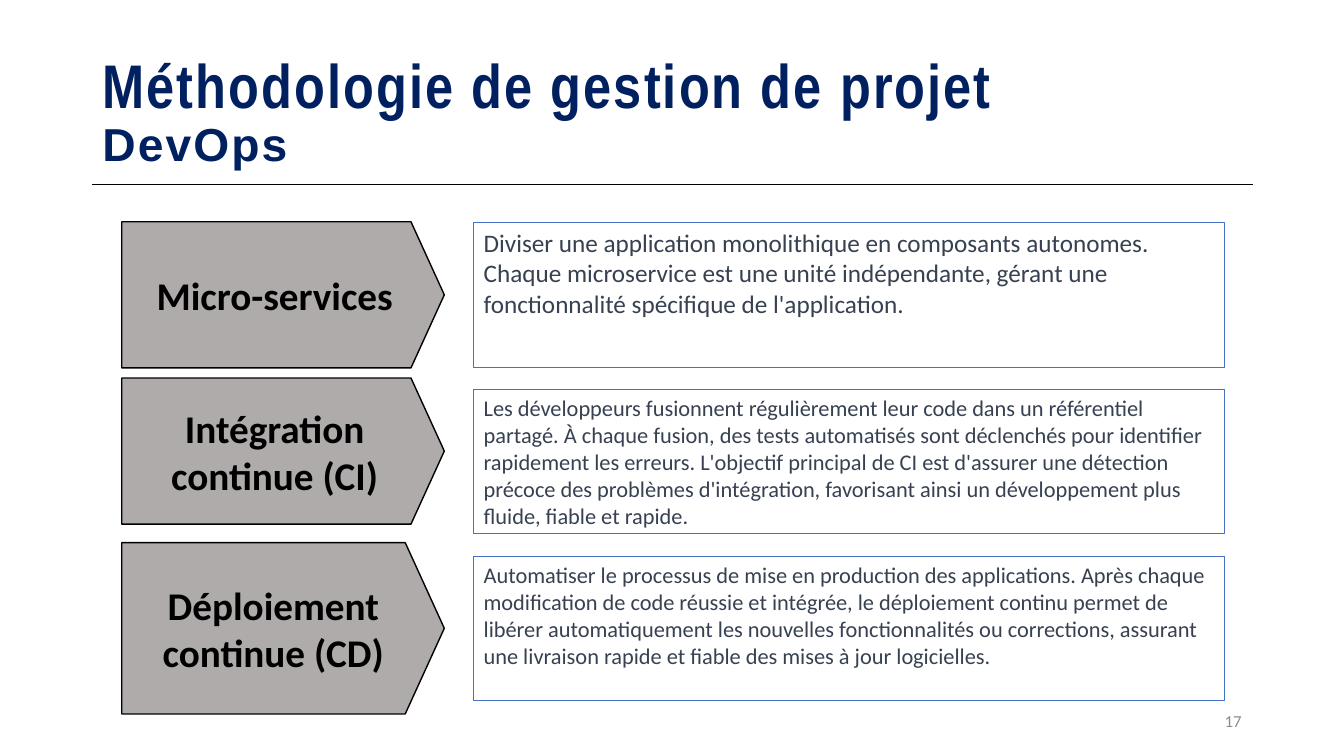
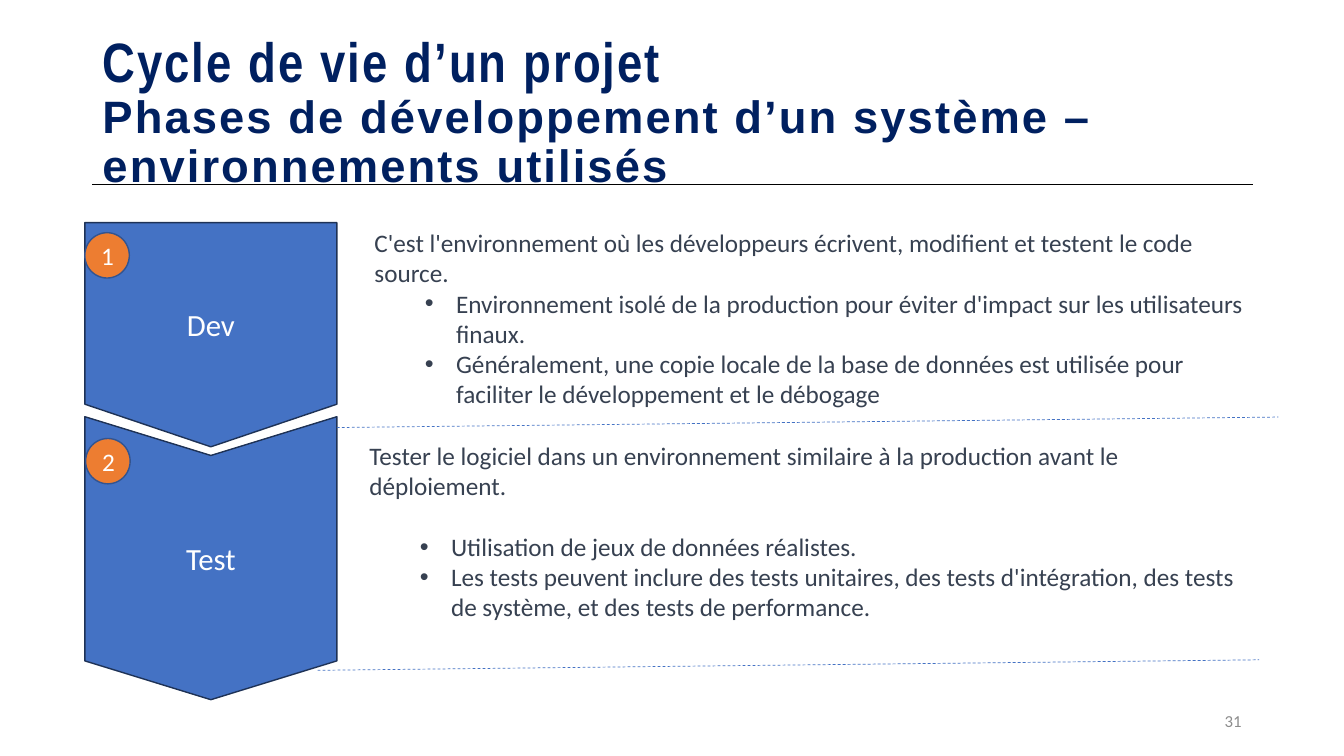
from copy import deepcopy

from lxml import etree
from pptx import Presentation
from pptx.dml.color import RGBColor
from pptx.enum.dml import MSO_LINE
from pptx.enum.shapes import MSO_CONNECTOR, MSO_SHAPE
from pptx.enum.text import MSO_ANCHOR, MSO_AUTO_SIZE, PP_ALIGN
from pptx.oxml.ns import qn
from pptx.util import Inches, Pt

LEFT, CENTER, RIGHT = PP_ALIGN.LEFT, PP_ALIGN.CENTER, PP_ALIGN.RIGHT
TOP, MIDDLE = MSO_ANCHOR.TOP, MSO_ANCHOR.MIDDLE
RECT, OVAL = MSO_SHAPE.RECTANGLE, MSO_SHAPE.OVAL
PENTAGON, CHEVRON = MSO_SHAPE.PENTAGON, MSO_SHAPE.CHEVRON
STRAIGHT = MSO_CONNECTOR.STRAIGHT
DASH = MSO_LINE.DASH
NO_AUTOFIT = MSO_AUTO_SIZE.NONE

COLORS = {
    "title": "002060", "black": "000000", "white": "FFFFFF",
    "body": "374151", "number": "8C8C8C", "gray": "AFABAB",
    "blue": "4472C4", "navy": "1E3256", "orange": "ED7D31",
    "badge_line": "325491",
}
COLS, ROWS = 160, 90  # grid cells across and down the slide


def color(name):
    return RGBColor.from_string(COLORS[name])


def write(p, text, size=18, font="Calibri", ink="body", bold=False,
          align=LEFT, tracking=None):
    """Add a formatted run to a paragraph."""
    p.alignment = align
    r = p.add_run()
    r.text = text
    r.font.size, r.font.name, r.font.bold = Pt(size), font, bold
    r.font.color.rgb = color(ink)
    if tracking:
        r.font._element.set("spc", str(int(tracking * 100)))
    return r


def add_bullet(p):
    p.level = 1
    pPr = p._p.get_or_add_pPr()
    pPr.set("marL", str(Inches(0.81)))
    pPr.set("indent", str(Inches(-0.31)))
    etree.SubElement(pPr, qn("a:buFont")).set("typeface", "Arial")
    etree.SubElement(pPr, qn("a:buChar")).set("char", "•")


class Deck:
    def __init__(self):
        self.prs = Presentation()
        self.prs.slide_width, self.prs.slide_height = Inches(13.33), Inches(7.5)
        self.slide = None

    def grid(self, x, y):
        return (round(self.prs.slide_width * x / COLS),
                round(self.prs.slide_height * y / ROWS))

    def box(self, x, y, w, h):
        return *self.grid(x, y), *self.grid(w, h)

    # Title, rule and page number shared by all slides
    def new_slide(self, title, subtitle, sizes, number):
        self.slide = self.prs.slides.add_slide(self.prs.slide_layouts[5])
        sp = self.slide.shapes.title
        sp.left, sp.top, sp.width, sp.height = self.box(11, 4.8, 138, 17.4)
        tf = sp.text_frame
        tf.auto_size, tf.vertical_anchor = NO_AUTOFIT, MIDDLE
        p = tf.paragraphs[0]
        p.line_spacing = 0.9
        style = {"ink": "title", "bold": True, "tracking": 1.5}
        r = write(p, title, size=sizes[0], font="Arial Narrow", **style)
        p.add_line_break()
        p._p[-1].append(deepcopy(r.font._element))  # break as tall as its line
        write(p, subtitle, size=sizes[1], font="Arial", **style)
        self.line((11, 22), (149.2, 22), "black")
        p = self.text_box(113, 83.4, 36, 4.8, MIDDLE).paragraphs[0]
        write(p, number, size=12, ink="number", align=RIGHT)

    def line(self, start, end, ink, dash=None):
        c = self.slide.shapes.add_connector(
            STRAIGHT, *self.grid(*start), *self.grid(*end))
        c.line.color.rgb, c.line.width = color(ink), Pt(0.5)
        if dash:
            c.line.dash_style = dash
        etree.SubElement(c._element.spPr, qn("a:effectLst"))

    def text_box(self, x, y, w, h, anchor=TOP):
        tf = self.slide.shapes.add_textbox(*self.box(x, y, w, h)).text_frame
        tf.word_wrap, tf.vertical_anchor = True, anchor
        return tf

    def shape(self, kind, box, text, fill=None, line="black", width=1,
              adj=None, anchor=MIDDLE, **fmt):
        sp = self.slide.shapes.add_shape(kind, *self.box(*box))
        sp.shadow.inherit = False
        if fill:
            sp.fill.solid()
            sp.fill.fore_color.rgb = color(fill)
        else:
            sp.fill.background()
        sp.line.color.rgb, sp.line.width = color(line), Pt(width)
        if adj is not None:
            sp.adjustments[0] = adj
        tf = sp.text_frame
        tf.word_wrap, tf.vertical_anchor = True, anchor
        write(tf.paragraphs[0], text, **fmt)
        return sp

    def down_arrow(self, kind, x, y, w, h, text, adj):
        """Turn a right-pointing shape downwards, its text kept upright."""
        box = (x + (w - h) / 2, y + (h - w) / 2, h, w)
        sp = self.shape(kind, box, text, fill="blue", line="navy", adj=adj,
                        size=22, ink="white", align=CENTER)
        sp.rotation = 90
        sp.text_frame._txBody.bodyPr.set("vert", "vert270")

    def badge(self, x, y, text):
        self.shape(OVAL, (x, y, 5.3, 5.4), text, fill="orange",
                   line="badge_line", ink="white", align=CENTER)

    def bullet_text(self, x, y, intro, bullets, gap=0):
        tf = self.text_box(x, y, 106.4, 23)
        write(tf.paragraphs[0], intro)
        for i, text in enumerate(bullets):
            p = tf.add_paragraph()
            add_bullet(p)
            if gap and i == 0:
                p.space_before = Pt(gap)
            write(p, text)


def devops_slide(deck):
    deck.new_slide("Méthodologie de gestion de projet", "DevOps", (44, 33), "17")
    # Arrow top, arrow height, label, text size, description
    practices = [
        (26.4, 17.4, "Micro-services", 18,
         "Diviser une application monolithique en composants autonomes. Chaque "
         "microservice est une unité indépendante, gérant une fonctionnalité "
         "spécifique de l'application."),
        (45, 17.4, "Intégration continue (CI)", 16,
         "Les développeurs fusionnent régulièrement leur code dans un référentiel "
         "partagé. À chaque fusion, des tests automatisés sont déclenchés pour "
         "identifier rapidement les erreurs. L'objectif principal de CI est "
         "d'assurer une détection précoce des problèmes d'intégration, favorisant "
         "ainsi un développement plus fluide, fiable et rapide."),
        (64.6, 20.4, "Déploiement continue (CD)", 16,
         "Automatiser le processus de mise en production des applications. Après "
         "chaque modification de code réussie et intégrée, le déploiement continu "
         "permet de libérer automatiquement les nouvelles fonctionnalités ou "
         "corrections, assurant une livraison rapide et fiable des mises à jour "
         "logicielles."),
    ]
    for i, (top, height, label, size, text) in enumerate(practices):
        deck.shape(PENTAGON, (14.5, top, 38.4, height), label, fill="gray",
                   adj=0.228, size=28, ink="black", bold=True, align=CENTER)
        deck.shape(RECT, (56.4, 26.5 + 19.85 * i, 89.4, 17.2), text,
                   line="blue", width=0.75, anchor=TOP, size=size)


def environments_slide(deck):
    deck.new_slide("Cycle de vie d’un projet",
                   "Phases de développement d’un système – environnements utilisés",
                   (39.6, 32.4), "31")
    # Phase arrows
    deck.down_arrow(PENTAGON, 10.1, 26.5, 30, 26.7, "Dev", 0.19)
    deck.down_arrow(CHEVRON, 10.1, 49.6, 30, 33.7, "Test", 0.154)
    # Numbers and separators
    for i, top in enumerate((27.7, 52.2)):
        deck.badge(10.1 + 0.1 * i, top, str(i + 1))
    for x, y in ((40.1, 50.9), (37.8, 79.8)):
        deck.line((x, y), (x + 112.1, y - 1.25), "blue", DASH)
    # Descriptions
    deck.bullet_text(
        43.4, 26.5,
        "C'est l'environnement où les développeurs écrivent, modifient et testent "
        "le code source.",
        ["Environnement isolé de la production pour éviter d'impact sur les "
         "utilisateurs finaux.",
         "Généralement, une copie locale de la base de données est utilisée pour "
         "faciliter le développement et le débogage"])
    deck.bullet_text(
        42.8, 51.8,
        "Tester le logiciel dans un environnement similaire à la production avant "
        "le déploiement.",
        ["Utilisation de jeux de données réalistes.",
         "Les tests peuvent inclure des tests unitaires, des tests d'intégration, "
         "des tests de système, et des tests de performance."],
        gap=22)


def main():
    deck = Deck()
    devops_slide(deck)
    environments_slide(deck)
    deck.prs.save("out.pptx")


if __name__ == "__main__":
    main()
